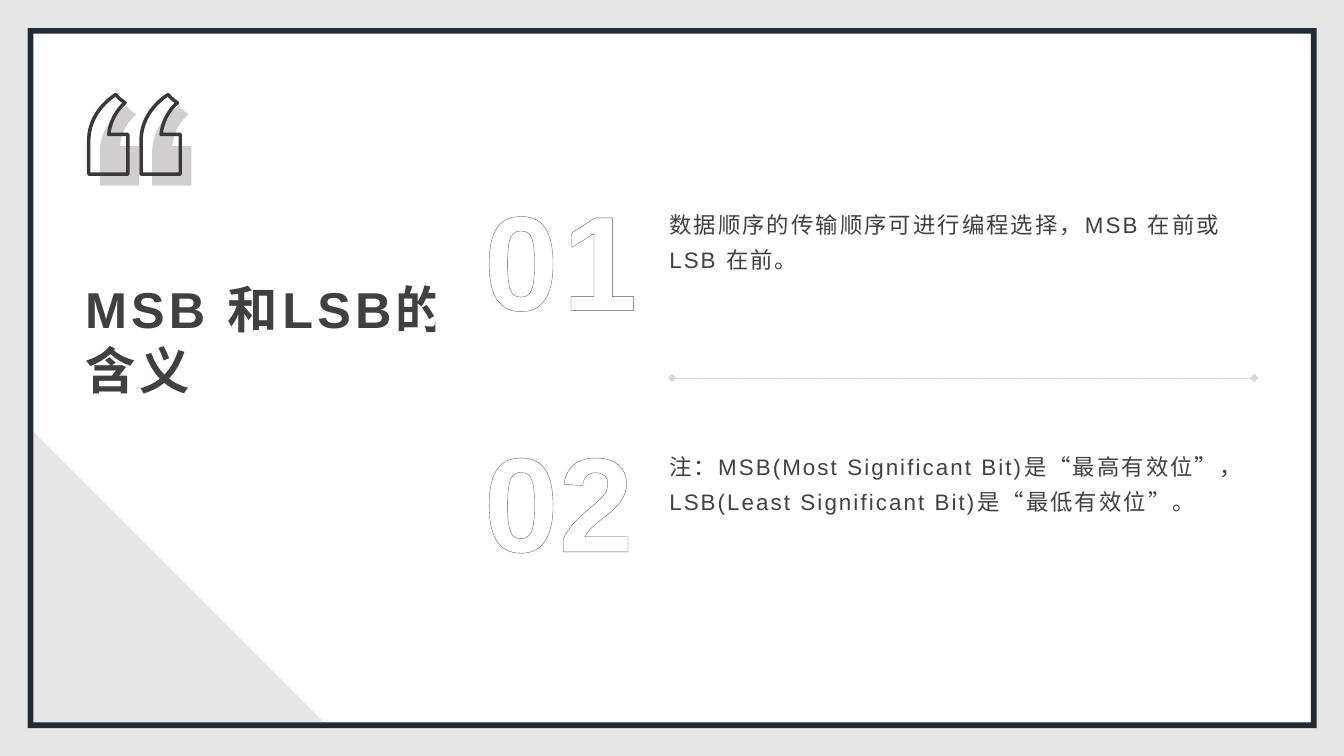
from dataclasses import dataclass

from lxml import etree
from pptx import Presentation
from pptx.dml.color import RGBColor
from pptx.enum import dml, lang, shapes, text
from pptx.oxml import ns
from pptx.util import Pt

SLIDE_W, SLIDE_H = 960, 540
FONT = "Arial"
INK, WHITE, PALE = "404040", "FFFFFF", "E7E6E6"
ITEM_TOP, ITEM_PITCH = 113.7, 172.5
MARK_PITCH = 37.4


@dataclass
class Item:
    number: str
    body: str
    number_width: float
    number_spacing: float


@dataclass
class MarkPair:
    left: float
    top: float
    fill: str | None
    line: str | None


ITEMS = [
    Item("01", "数据顺序的传输顺序可进行编程选择，MSB 在前或 LSB 在前。", 116.6, 3),
    Item("02", "注：MSB(Most Significant Bit)是“最高有效位”，"
               "LSB(Least Significant Bit)是“最低有效位”。", 123.1, 0),
]
MARK_PAIRS = [
    MarkPair(71.3, 75.7, "D0CECE", None),
    MarkPair(63.4, 67.5, None, "3B3838"),
]
# Quotation mark: a single point is a corner, three points are a curve
MARK_START = (19.4, 0)
MARK_STEPS = [
    [(20.7, 1.7)], [(22, 3.1), (23.4, 4.3), (25.1, 5.3)], [(26, 5.9)],
    [(25.9, 5.9), (15.8, 13.8), (14.3, 28.6)],
    [(28, 28.6)], [(28, 56.9)], [(0, 56.9)], [(0, 31.7)],
    [(0.7, 10.8), (19.4, 0), MARK_START],
]


def color(hex_value: str) -> RGBColor:
    return RGBColor.from_string(hex_value)


def paint(shape, fill: str | None, line: str | None = None, width: float = 1) -> None:
    shape.shadow.inherit = False
    if fill:
        shape.fill.solid()
        shape.fill.fore_color.rgb = color(fill)
    else:
        shape.fill.background()
    if line:
        shape.line.color.rgb = color(line)
        shape.line.width = Pt(width)
        etree.SubElement(shape.line._get_or_add_ln(), ns.qn("a:round"))
    else:
        shape.line.fill.background()


def add_block(slide, kind, left: float, top: float, width: float, height: float, fill: str):
    block = slide.shapes.add_shape(kind, Pt(left), Pt(top), Pt(width), Pt(height))
    paint(block, fill)
    return block


def write(shape, wording: str, size: float, ink: str, bold: bool = False, spacing: float = 0,
          insets=(0, 0, 0, 0), anchor=text.MSO_ANCHOR.TOP, fit=text.MSO_AUTO_SIZE.NONE):
    frame = shape.text_frame
    frame.word_wrap, frame.auto_size, frame.vertical_anchor = True, fit, anchor
    frame.margin_left, frame.margin_top, frame.margin_right, frame.margin_bottom = map(Pt, insets)
    paragraph = frame.paragraphs[0]
    paragraph.text = wording
    paragraph.alignment = text.PP_ALIGN.LEFT
    font = paragraph.font
    font.name, font.size, font.bold = FONT, Pt(size), bold
    font.color.rgb = color(ink)
    font.language_id = lang.MSO_LANGUAGE_ID.SIMPLIFIED_CHINESE
    paragraph._p.pPr.defRPr.set("spc", str(round(spacing * 100)))
    return paragraph


def add_text_box(slide, left: float, top: float, width: float, height: float):
    return slide.shapes.add_textbox(Pt(left), Pt(top), Pt(width), Pt(height))


def outline_text(paragraph, hex_value: str, width: float) -> None:
    outline = etree.Element(ns.qn("a:ln"), w=str(Pt(width)))
    fill = etree.SubElement(outline, ns.qn("a:solidFill"))
    etree.SubElement(fill, ns.qn("a:srgbClr"), val=hex_value)
    paragraph._p.pPr.defRPr.insert(0, outline)


def add_quotation_mark(slide, left: float, top: float, pair: MarkPair) -> None:
    builder = slide.shapes.build_freeform(Pt(left + MARK_START[0]), Pt(top + MARK_START[1]))
    builder.add_line_segments(
        [(Pt(left + x), Pt(top + y)) for x, y in (step[-1] for step in MARK_STEPS)], close=True)
    mark = builder.convert_to_shape()
    # Turn the segments with control points into curves
    segments = list(mark._element.iter(ns.qn("a:lnTo")))
    for segment, step in zip(segments, MARK_STEPS):
        if len(step) == 3:
            bezier = etree.Element(ns.qn("a:cubicBezTo"))
            for x, y in step:
                etree.SubElement(bezier, ns.qn("a:pt"), x=str(Pt(x)), y=str(Pt(y)))
            segment.getparent().replace(segment, bezier)
    paint(mark, pair.fill, pair.line, 2.5)


def add_margin(slide, left: float, top: float) -> None:
    right, bottom = SLIDE_W - left, SLIDE_H - top
    builder = slide.shapes.build_freeform(Pt(left), Pt(top))
    builder.add_line_segments(
        [(Pt(x), Pt(y)) for x, y in ((left, bottom), (right, bottom), (right, top))])
    builder.move_to(0, 0)
    builder.add_line_segments(
        [(Pt(x), Pt(y)) for x, y in ((SLIDE_W, 0), (SLIDE_W, SLIDE_H), (0, SLIDE_H))])
    paint(builder.convert_to_shape(), PALE)


def add_item(slide, item: Item, top: float) -> None:
    add_block(slide, shapes.MSO_SHAPE.RECTANGLE, 311, top, 623.5, 139.7, WHITE)
    body = write(add_text_box(slide, 470.2, top + 31.7, 434.2, 76.3), item.body, 16, INK,
                 spacing=1.5, insets=(7.9, 0, 6.5, 0))
    body.line_spacing, body.space_after = 1.3, Pt(10)
    number = write(add_text_box(slide, 345.6, top + 12, item.number_width, 116.6),
                   item.number, 96, WHITE, True, item.number_spacing,
                   fit=text.MSO_AUTO_SIZE.SHAPE_TO_FIT_TEXT)
    outline_text(number, "595959", 2)


def add_divider(slide, left: float, right: float, y: float) -> None:
    divider = slide.shapes.add_connector(
        shapes.MSO_CONNECTOR.STRAIGHT, Pt(left), Pt(y), Pt(right), Pt(y))
    divider.line.color.rgb = color("D9D9D9")
    divider.line.width = Pt(0.1)
    divider.line.dash_style = dml.MSO_LINE.DASH
    for end in ("a:headEnd", "a:tailEnd"):
        etree.SubElement(divider.line._get_or_add_ln(), ns.qn(end), type="diamond")
    etree.SubElement(divider._element.spPr, ns.qn("a:effectLst"))


def main() -> None:
    deck = Presentation()
    deck.slide_width, deck.slide_height = Pt(SLIDE_W), Pt(SLIDE_H)
    slide = deck.slides.add_slide(deck.slide_layouts[5])

    # Title
    title = slide.shapes.title
    title.left, title.top, title.width, title.height = map(Pt, (52.8, 195.1, 285.8, 92.9))
    write(title, "MSB 和LSB的含义", 36, INK, True, 3, (7.9, 2.9, 5, 2.9),
          text.MSO_ANCHOR.BOTTOM)

    # Backdrop
    add_margin(slide, 19.8, 20)
    add_block(slide, shapes.MSO_SHAPE.RIGHT_TRIANGLE, 21.6, 306, 211.7, 211.7, PALE)

    # Numbered items
    for index, item in enumerate(ITEMS):
        add_item(slide, item, ITEM_TOP + index * ITEM_PITCH)
    add_divider(slide, 480, 896, 270)

    # Border
    border = add_block(slide, shapes.MSO_SHAPE.FRAME, 19.8, 20, 920.6, 500, "222A35")
    border.adjustments[0] = 0.008

    # Quotation marks
    for pair in MARK_PAIRS:
        for column in range(2):
            add_quotation_mark(slide, pair.left + column * MARK_PITCH, pair.top, pair)

    deck.save("out.pptx")


if __name__ == "__main__":
    main()
